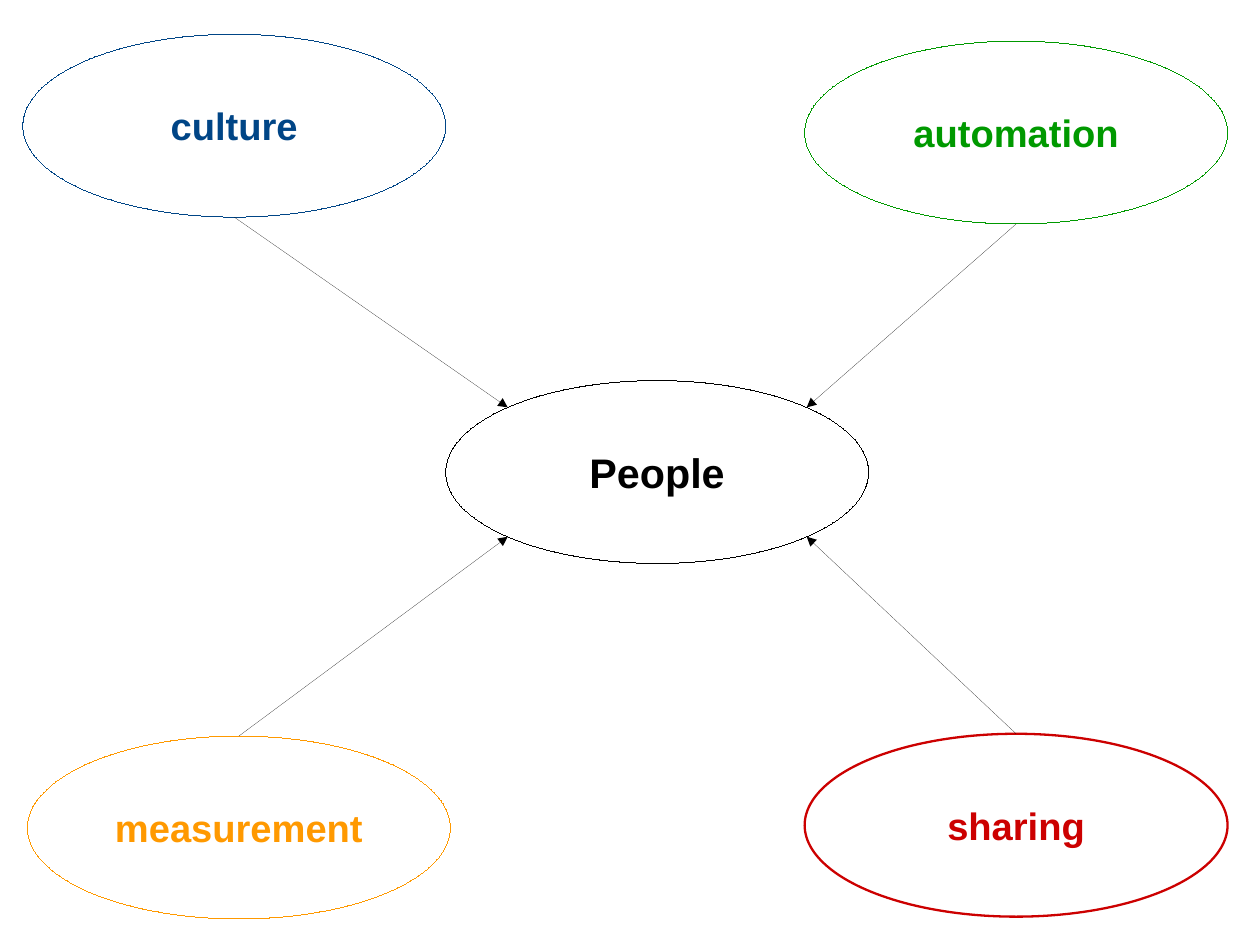
import math

import pptx
import pptx.dml.color
import pptx.enum.shapes
import pptx.enum.text
import pptx.oxml
import pptx.oxml.ns
import pptx.util

Inches = pptx.util.Inches
Pt = pptx.util.Pt
RGBColor = pptx.dml.color.RGBColor

BLACK = RGBColor(0x00, 0x00, 0x00)
BLUE = RGBColor(0x00, 0x45, 0x86)
GREEN = RGBColor(0x00, 0x99, 0x00)
ORANGE = RGBColor(0xFF, 0x99, 0x00)
RED = RGBColor(0xCC, 0x00, 0x00)

CENTIMETRES_PER_INCH = 2.54
SLIDE_WIDTH = 28 / CENTIMETRES_PER_INCH
SLIDE_HEIGHT = 21 / CENTIMETRES_PER_INCH
ELLIPSE_WIDTH = 3.7
ELLIPSE_HEIGHT = 1.6
HUB = (3.9, 3.33)
TOPICS = [
    ("culture", 0.2, 0.3, BLUE, 0),
    ("automation", 7.04, 0.36, GREEN, 0),
    ("measurement", 0.24, 6.44, ORANGE, 0),
    ("sharing", 7.04, 6.42, RED, 1.45),
]


def style_line(shape, color, width):
    shape.line.color.rgb = color
    line = shape.line._get_or_add_ln()
    line.set("w", str(Pt(width)))
    return line


def add_ellipse(slide, text, left, top, color, line_width, font_size):
    shape = slide.shapes.add_shape(
        pptx.enum.shapes.MSO_SHAPE.OVAL,
        Inches(left), Inches(top), Inches(ELLIPSE_WIDTH), Inches(ELLIPSE_HEIGHT),
    )
    shape.shadow.inherit = False
    shape.fill.background()
    style_line(shape, color, line_width)
    text_frame = shape.text_frame
    text_frame.word_wrap = False
    text_frame.vertical_anchor = pptx.enum.text.MSO_ANCHOR.MIDDLE
    text_frame.text = text
    paragraph = text_frame.paragraphs[0]
    paragraph.alignment = pptx.enum.text.PP_ALIGN.CENTER
    paragraph.font.name = "Arial"
    paragraph.font.size = Pt(font_size)
    paragraph.font.bold = True
    paragraph.font.color.rgb = color


def add_arrow(slide, start, end):
    connector = slide.shapes.add_connector(
        pptx.enum.shapes.MSO_CONNECTOR.STRAIGHT,
        *(Inches(length) for length in start + end),
    )
    namespace = pptx.oxml.ns.nsdecls("a")
    line = style_line(connector, BLACK, 0)
    line.append(pptx.oxml.parse_xml(f'<a:tailEnd {namespace} type="triangle"/>'))
    connector._element.spPr.append(pptx.oxml.parse_xml(f"<a:effectLst {namespace}/>"))


def add_topic(slide, text, left, top, color, line_width):
    add_ellipse(slide, text, left, top, color, line_width, 24)
    hub_left, hub_top = HUB
    horizontal = math.copysign(1, left - hub_left)
    vertical = math.copysign(1, top - hub_top)
    start = (
        left + ELLIPSE_WIDTH / 2,
        top if vertical > 0 else top + ELLIPSE_HEIGHT,
    )
    diagonal = math.sqrt(0.5)
    end = (
        hub_left + ELLIPSE_WIDTH / 2 * (1 + horizontal * diagonal),
        hub_top + ELLIPSE_HEIGHT / 2 * (1 + vertical * diagonal),
    )
    add_arrow(slide, start, end)


def main():
    presentation = pptx.Presentation()
    presentation.slide_width = Inches(SLIDE_WIDTH)
    presentation.slide_height = Inches(SLIDE_HEIGHT)
    slide = presentation.slides.add_slide(presentation.slide_layouts[6])
    add_ellipse(slide, "People", *HUB, BLACK, 0, 26)
    for topic in TOPICS:
        add_topic(slide, *topic)
    presentation.save("out.pptx")


if __name__ == "__main__":
    main()
